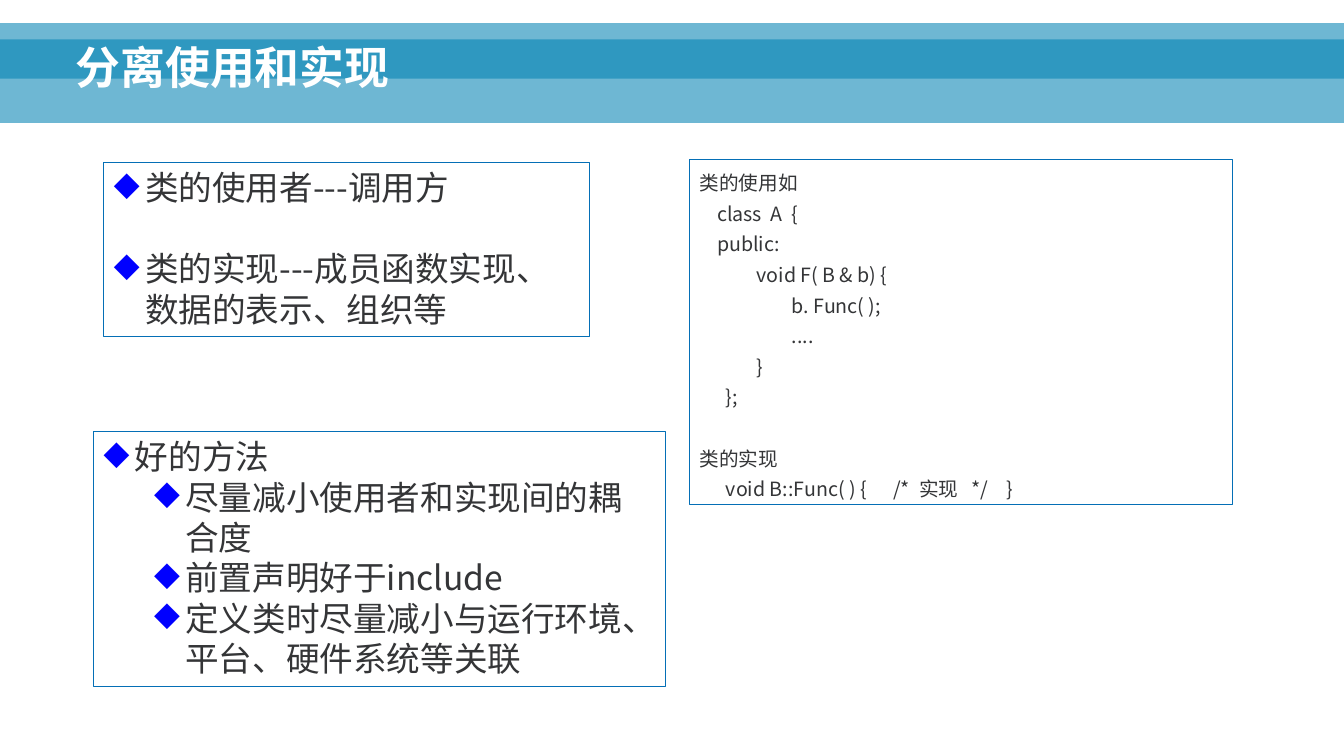
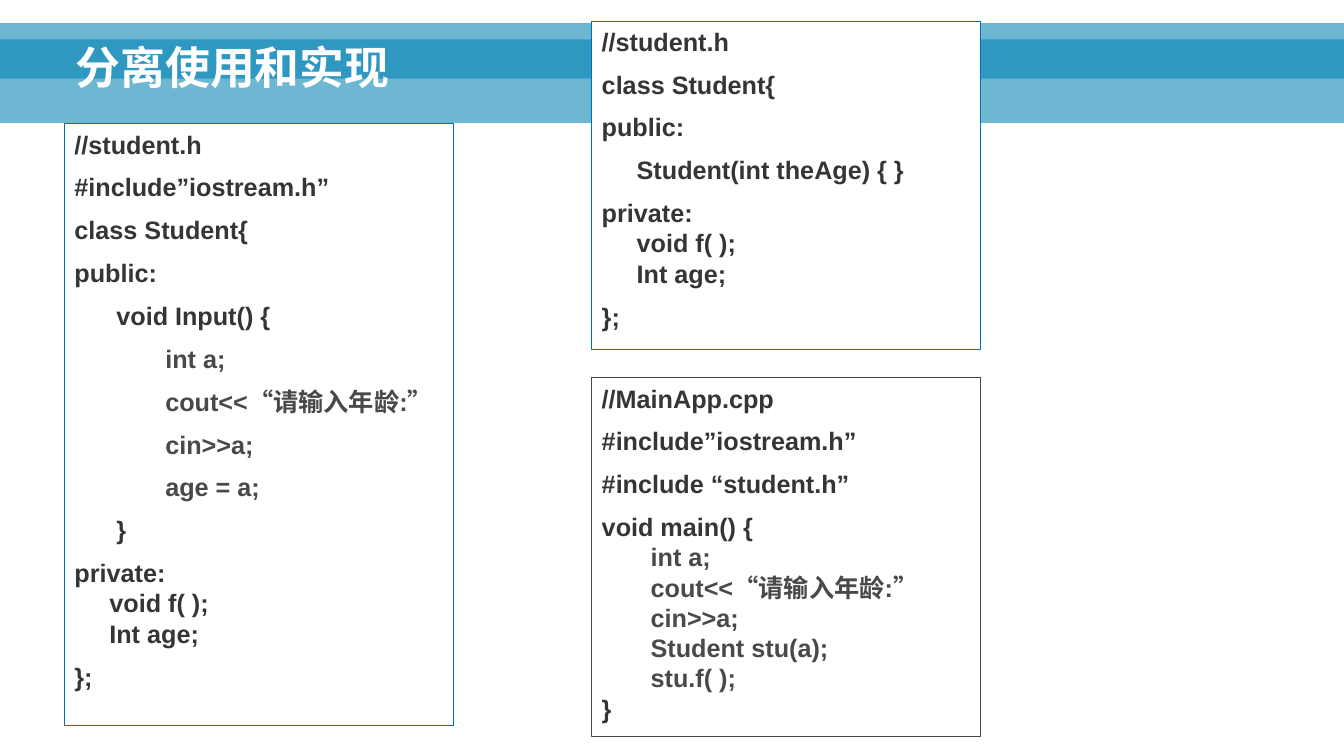
import pptx
import pptx.util
import pptx.dml.color
import pptx.enum.shapes
import pptx.enum.text
import pptx.oxml.ns
from lxml import etree

Inches, Pt = pptx.util.Inches, pptx.util.Pt
RGBColor = pptx.dml.color.RGBColor
RECTANGLE = pptx.enum.shapes.MSO_SHAPE.RECTANGLE
ANCHOR = pptx.enum.text.MSO_ANCHOR
qn = pptx.oxml.ns.qn

WHITE = RGBColor(0xFF, 0xFF, 0xFF)
BAND = RGBColor(0x00, 0x82, 0xB3)
BORDER = RGBColor(0x04, 0x6F, 0xB6)
DARK_BORDER = RGBColor(0x45, 0x47, 0x49)
INK = RGBColor(0x34, 0x35, 0x37)
INNER_INK = RGBColor(0x47, 0x49, 0x4B)
BULLET = RGBColor(0x00, 0x00, 0xFF)
LATIN, CHINESE = "Arial", "Noto Sans CJK SC"

WIDTH, HEIGHT = 13.33, 7.5
BANDS = [(0.39, 0.83), (0.23, 0.55)]
BAND_OPACITY = 57
TITLE = "分离使用和实现"
TITLE_AREA = (0.65, 0.11, 11.98, 0.87)
HANGING = 0.31
LEVEL_STEP = 0.5
GROUP_GAP = 9

ROLES = [
    (0, 0, "类的使用者---调用方"),
    (0, 29, "类的实现---成员函数实现、数据的表示、组织等"),
]
METHODS = [
    (0, 0, "好的方法"),
    (1, 0, "尽量减小使用者和实现间的耦合度"),
    (1, 0, "前置声明好于include"),
    (1, 0, "定义类时尽量减小与运行环境、平台、硬件系统等关联"),
]
USAGE = [
    """类的使用如
    class  A  {
    public:
             void F( B & b) {
                     b. Func( );
                     ....
             }
      };""",
    """类的实现
      void B::Func( ) {      /*  实现   */    }""",
]
PRIVATE_PART = """private:
     void f( );
     Int age;"""
INPUT_CLASS = [
    "//student.h",
    "#include”iostream.h”",
    "class Student{",
    "public:",
    "      void Input() {",
    "             int a;",
    "             cout<<“请输入年龄:”",
    "             cin>>a;",
    "             age = a;",
    "      }",
    PRIVATE_PART,
    "};",
]
SEPARATE_CLASS = [
    "//student.h",
    "class Student{",
    "public:",
    "     Student(int theAge) { }",
    PRIVATE_PART,
    "};",
]
MAIN_APP = [
    "//MainApp.cpp",
    "#include”iostream.h”",
    "#include “student.h”",
    """void main() {
       int a;
       cout<<“请输入年龄:”
       cin>>a;
       Student stu(a);
       stu.f( );
}""",
]


def add_bands(layout, slide):
    for position, (top, height) in enumerate(BANDS):
        band = slide.shapes.add_shape(
            RECTANGLE, 0, Inches(top), Inches(WIDTH), Inches(height))
        band.shadow.inherit = False
        band.fill.solid()
        band.fill.fore_color.rgb = BAND
        band.line.fill.background()
        color = band.fill._xPr.find(".//" + qn("a:srgbClr"))
        etree.SubElement(color, qn("a:alpha"), val=str(BAND_OPACITY * 1000))
        layout.shapes._spTree.insert(2 + position, band._element)


def set_title(slide):
    title = slide.shapes.title
    title.left, title.top, title.width, title.height = map(Inches, TITLE_AREA)
    title.text_frame.vertical_anchor = ANCHOR.BOTTOM
    heading = title.text_frame.paragraphs[0]
    heading.text = TITLE
    heading.alignment = pptx.enum.text.PP_ALIGN.LEFT
    heading.line_spacing = 0.9
    set_font(heading, LATIN, 32, WHITE, True)


def set_font(paragraph, name, size, color, bold=False):
    font = paragraph.font
    font.name, font.size, font.bold = name, Pt(size), bold
    font.color.rgb = color


def add_box(slide, area, border=BORDER, fill=None):
    box = slide.shapes.add_shape(RECTANGLE, *map(Inches, area))
    box.shadow.inherit = False
    if fill is None:
        box.fill.background()
    else:
        box.fill.solid()
        box.fill.fore_color.rgb = fill
    box.line.color.rgb = border
    box.line.width = Pt(0.75)
    box.text_frame.word_wrap = True
    box.text_frame.vertical_anchor = ANCHOR.TOP
    return box.text_frame


def add_paragraph(frame, text, gap):
    first = frame.paragraphs[0]
    paragraph = frame.add_paragraph() if first.runs else first
    paragraph.text = text
    paragraph.alignment = pptx.enum.text.PP_ALIGN.LEFT
    if gap and paragraph is not first:
        paragraph.space_before = Pt(gap)
    return paragraph


def add_bullets(slide, area, items):
    frame = add_box(slide, area)
    for level, gap, text in items:
        paragraph = add_paragraph(frame, text, gap)
        paragraph.level = level
        properties = paragraph._p.get_or_add_pPr()
        properties.set("marL", str(Inches(HANGING + level * LEVEL_STEP)))
        properties.set("indent", str(-Inches(HANGING)))
        color = etree.SubElement(properties, qn("a:buClr"))
        etree.SubElement(color, qn("a:srgbClr"), val=str(BULLET))
        etree.SubElement(properties, qn("a:buChar"), char="◆")
        set_font(paragraph, CHINESE, 24, INK)


def add_usage(slide, area, groups):
    frame = add_box(slide, area)
    for group in groups:
        for row, line in enumerate(group.split("\n")):
            paragraph = add_paragraph(frame, line, 0 if row else 22)
            paragraph.line_spacing = 1.3
            set_font(paragraph, CHINESE, 14, INK)


def add_code(slide, area, groups, border=BORDER):
    frame = add_box(slide, area, border, WHITE)
    for group in groups:
        for row, line in enumerate(group.split("\n")):
            paragraph = add_paragraph(frame, line, 0 if row else GROUP_GAP)
            depth = len(line) - len(line.lstrip())
            set_font(paragraph, LATIN, 18, INNER_INK if depth > 6 else INK, True)


def main():
    deck = pptx.Presentation()
    deck.slide_width, deck.slide_height = Inches(WIDTH), Inches(HEIGHT)
    layout = deck.slide_layouts[5]
    concept, example = [deck.slides.add_slide(layout) for _ in range(2)]
    add_bands(layout, concept)
    for slide in (concept, example):
        set_title(slide)

    add_bullets(concept, (1.03, 1.61, 4.82, 1.73), ROLES)
    add_usage(concept, (6.84, 1.58, 5.38, 3.43), USAGE)
    add_bullets(concept, (0.93, 4.28, 5.67, 2.53), METHODS)

    add_code(example, (0.64, 1.23, 3.86, 5.97), INPUT_CLASS)
    add_code(example, (5.87, 0.21, 3.86, 3.26), SEPARATE_CLASS)
    add_code(example, (5.87, 3.75, 3.86, 3.56), MAIN_APP, DARK_BORDER)

    deck.save("out.pptx")


if __name__ == "__main__":
    main()
